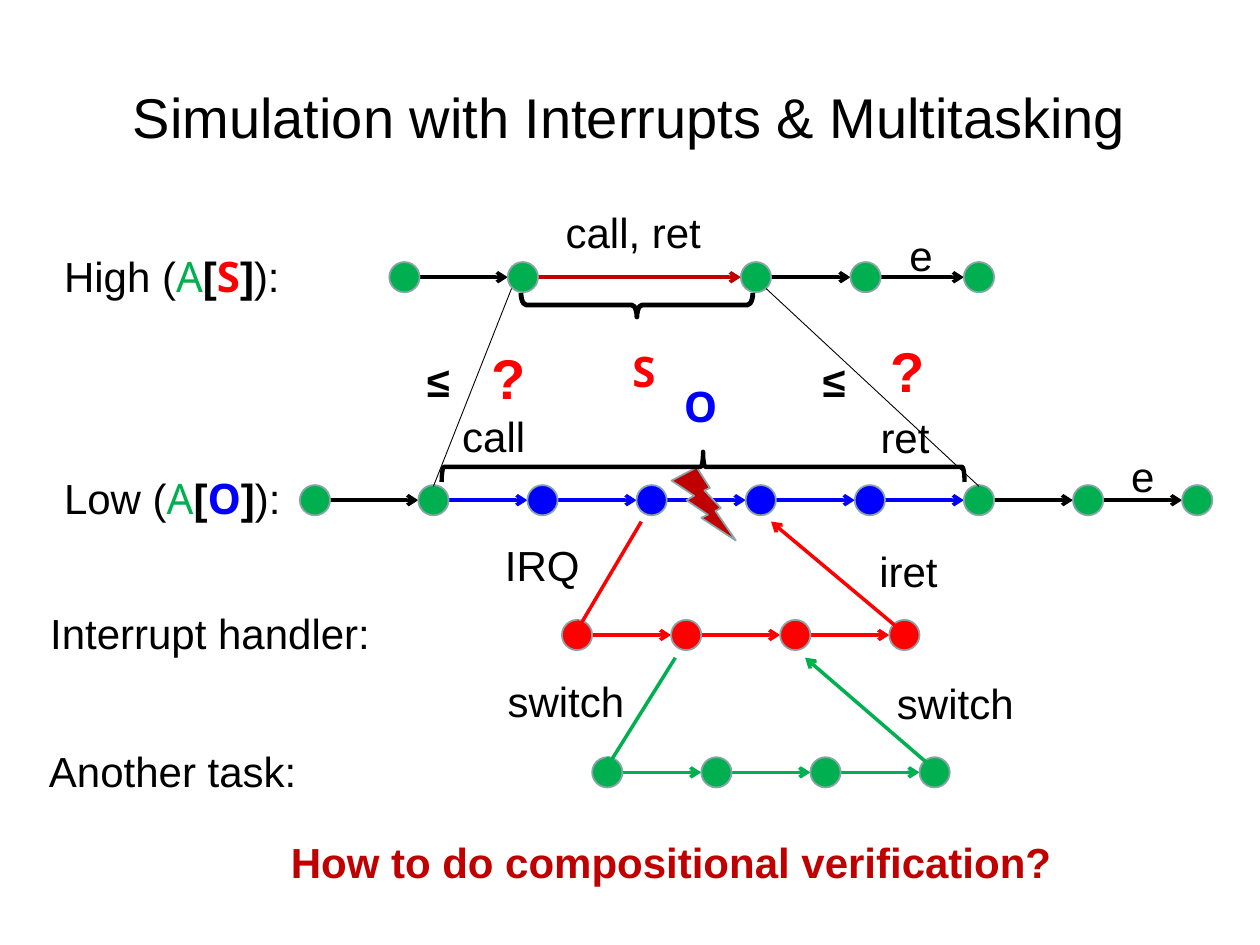
"""Build the slide on simulation with interrupts and multitasking."""
from lxml.etree import SubElement
from pptx import Presentation
from pptx.dml.color import RGBColor
from pptx.enum.shapes import MSO_CONNECTOR, MSO_SHAPE as Preset
from pptx.enum.text import MSO_ANCHOR, MSO_AUTO_SIZE, PP_ALIGN
from pptx.oxml.ns import qn
from pptx.util import Inches, Pt

COLORS = {name: RGBColor.from_string(value) for name, value in {
    "black": "000000", "green": "00B050", "blue": "0000FF",
    "red": "FF0000", "crimson": "C00000", "outline": "89A4A7",
}.items()}
DOT = 0.24
STEP = 0.866

presentation = Presentation()
presentation.slide_width = Inches(10)
presentation.slide_height = Inches(7.5)
slide = presentation.slides.add_slide(presentation.slide_layouts[6])
shapes = slide.shapes


def draw_line(start, end, color, weight=2, arrow=True):
    line = shapes.add_connector(MSO_CONNECTOR.STRAIGHT, *map(Inches, start + end))
    line.line.color.rgb = COLORS[color]
    line.line.width = Pt(weight)
    properties = line.line._get_or_add_ln()
    if arrow:
        SubElement(properties, qn("a:tailEnd"), type="arrow")
    SubElement(line._element.spPr, qn("a:effectLst"))


def write(box, text, color="black", size=24, bold=False, font="Arial"):
    label = shapes.add_textbox(*map(Inches, box))
    frame = label.text_frame
    frame.word_wrap = False
    frame.auto_size = MSO_AUTO_SIZE.SHAPE_TO_FIT_TEXT
    paragraph = frame.paragraphs[0]
    paragraph.text = text
    paragraph.font.size = Pt(size)
    paragraph.font.name = font
    paragraph.font.bold = bold
    paragraph.font.color.rgb = COLORS[color]
    return frame


title = write((0.5, 0.3, 9, 1.25), "Simulation with Interrupts & Multitasking", size=32)
title.word_wrap = True
title.auto_size = MSO_AUTO_SIZE.NONE
title.vertical_anchor = MSO_ANCHOR.MIDDLE
title.paragraphs[0].alignment = PP_ALIGN.CENTER

chains = [
    (2.08, [3.09, 4.03, 5.88, 6.75, 7.65], ["green"] * 5,
     ["black", "crimson", "black", "black"]),
    (3.85, [2.38] + [3.32 + STEP * i for i in range(8)],
     ["green"] * 2 + ["blue"] * 4 + ["green"] * 3,
     ["black"] + ["blue"] * 5 + ["black"] * 2),
    (4.92, [4.46 + STEP * i for i in range(4)], ["red"] * 4, ["red"] * 3),
    (6.01, [4.7 + STEP * i for i in range(4)], ["green"] * 4, ["green"] * 3),
]
for top, lefts, states, steps in chains:
    middle = top + DOT / 2
    for left, following, color in zip(lefts, lefts[1:], steps):
        draw_line((left + DOT, middle), (following, middle), color)
    for left, color in zip(lefts, states):
        state = shapes.add_shape(Preset.OVAL, *map(Inches, (left, top, DOT, DOT)))
        state.shadow.inherit = False
        state.fill.solid()
        state.fill.fore_color.rgb = COLORS[color]
        state.line.color.rgb = COLORS["outline"]
        state.line.width = Pt(1)

interrupt = shapes.add_shape(
    Preset.LIGHTNING_BOLT, *map(Inches, (5.33, 3.71, 0.51, 0.58)))
interrupt.shadow.inherit = False
interrupt.fill.solid()
interrupt.fill.fore_color.rgb = COLORS["crimson"]
interrupt.line.color.rgb = COLORS["outline"]
interrupt.line.width = Pt(1)

for start, end, color in [
    ((5.09, 4.14), (4.57, 5.02), "red"),
    ((7.17, 5.02), (6.12, 4.14), "red"),
    ((5.36, 5.22), (4.81, 6.1), "green"),
    ((7.41, 6.1), (6.39, 5.22), "green"),
]:
    draw_line(start, end, color)
draw_line((4.06, 2.29), (3.44, 3.86), "black", 0.5, arrow=False)
draw_line((7.77, 3.86), (6.08, 2.29), "black", 0.5, arrow=False)

for preset, box, weight, curl in [
    (Preset.LEFT_BRACE, (4.96, 1.5, 0.19, 1.84), 2.75, 0.22),
    (Preset.RIGHT_BRACE, (5.46, 1.63, 0.24, 4.15), 2.5, 0.08),
]:
    brace = shapes.add_shape(preset, *map(Inches, box))
    brace.rotation = 270
    brace.adjustments[0] = curl
    brace.shadow.inherit = False
    brace.fill.background()
    brace.line.color.rgb = COLORS["black"]
    brace.line.width = Pt(weight)

for left, top, width, text in [
    (4.39, 1.59, 1.32, "call, ret"),
    (7.12, 1.77, 0.4, "e"),
    (3.57, 3.21, 0.75, "call"),
    (6.89, 3.22, 0.64, "ret"),
    (8.88, 3.53, 0.4, "e"),
    (3.91, 4.23, 0.84, "IRQ"),
    (6.88, 4.28, 0.71, "iret"),
    (0.3, 4.77, 2.8, "Interrupt handler:"),
    (3.93, 5.31, 1.18, "switch"),
    (7.02, 5.33, 1.18, "switch"),
    (0.29, 5.87, 2.22, "Another task:"),
]:
    write((left, top, width, 0.5), text)

for top, level, module, color in [
    (1.94, "High (", "S", "red"),
    (3.7, "Low (", "O", "blue"),
]:
    heading = write((0.41, top, 1.95, 0.5), level).paragraphs[0]
    for text, tint, font, bold in [
        ("A", "green", "Noto Sans", False),
        ("[", "black", "Arial", True),
        (module, color, "Noto Sans", True),
        ("]", "black", "Arial", True),
        ("):", "black", "Arial", False),
    ]:
        run = heading.add_run()
        run.text = text
        run.font.name = font
        run.font.bold = bold
        run.font.color.rgb = COLORS[tint]

for left in (3.29, 6.43):
    write((left, 2.77, 0.46, 0.5), "≤", bold=True)
for left, top in [(3.8, 2.68), (6.97, 2.62)]:
    write((left, top, 0.55, 0.64), "?", "red", 32, True).word_wrap = True
write((4.92, 2.69, 0.38, 0.5), "S", "red", bold=True, font="Noto Sans")
write((5.33, 2.97, 0.46, 0.5), "O", "blue", bold=True, font="Noto Sans")
write((2.21, 6.59, 6.3, 0.5), "How to do compositional verification?", "crimson", bold=True)

presentation.save("out.pptx")
